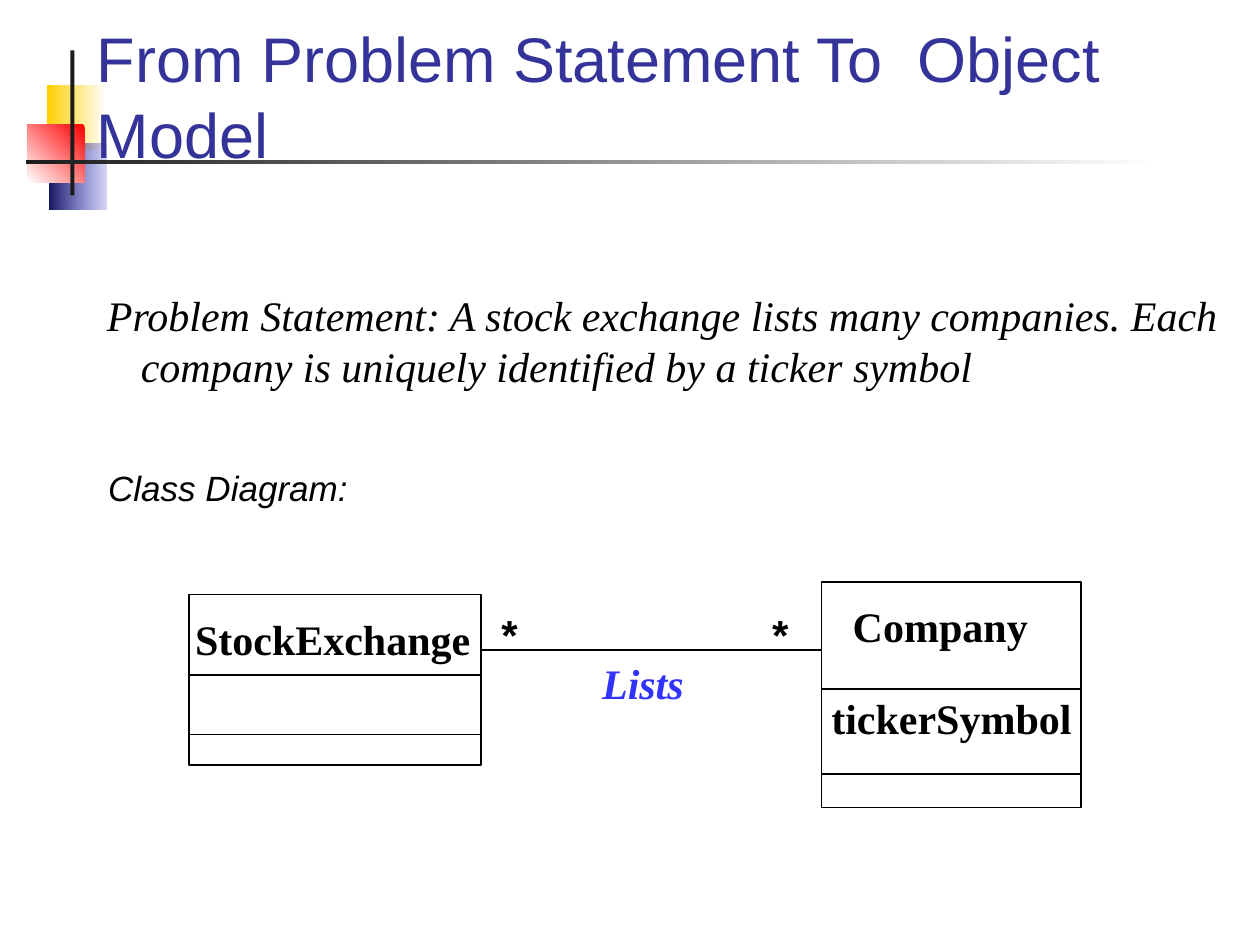
from lxml.etree import SubElement
from pptx import Presentation
from pptx.dml.color import RGBColor
from pptx.enum.shapes import MSO_CONNECTOR, MSO_SHAPE
from pptx.enum.text import MSO_ANCHOR, MSO_AUTO_SIZE, PP_ALIGN
from pptx.oxml.ns import qn
from pptx.util import Pt

SERIF, SANS = "Times New Roman", "Arial"
BLACK, WHITE, INK = "000000", "FFFFFF", "1C1C1C"
TITLE = "From Problem Statement To  Object Model"
STATEMENT = ("Problem Statement: A stock exchange lists many companies. Each "
             "company is uniquely identified by a ticker symbol")
HANGING = 19.4

ORNAMENTS = [
    {"frame": (26.9, 48.6, 33.8, 37.4), "colors": (WHITE, "FFCF01"), "angle": 180},
    {"frame": (28.4, 82.1, 32.4, 37.4), "colors": ("3333CC", "17175E"), "angle": 180, "opacity": 20},
    {"frame": (15.8, 71.3, 32.4, 33.1), "colors": ("FF0000", WHITE), "angle": 225},
    {"frame": (40.3, 28.8, 2.2, 82.8), "colors": (INK, INK), "angle": 180},
    {"frame": (15.1, 91.4, 648, 2.2), "colors": (WHITE, INK), "angle": 180},
]
LABELS = [
    {"at": (54, 162), "width": 660, "text": STATEMENT, "italic": True, "lines": 2, "hanging": HANGING},
    {"at": (54.7, 262.8), "width": 151, "text": "Class Diagram:", "size": 20, "font": SANS, "italic": True},
    {"at": (104.4, 347), "width": 171.4, "text": "StockExchange", "bold": True},
    {"at": (480.2, 339.8), "width": 114.5, "text": "Company", "bold": True},
    {"at": (468, 392.4), "width": 152, "text": "tickerSymbol", "bold": True},
    {"at": (337, 372.2), "width": 67, "text": "Lists", "bold": True, "italic": True, "ink": "3333FF"},
    {"at": (434.2, 344.2), "width": 23.8, "text": "*", "font": SANS, "bold": True},
    {"at": (279.4, 344.2), "width": 23.8, "text": "*", "font": SANS, "bold": True},
]
EXCHANGE = {"frame": (108, 339.8, 167, 97.2), "dividers": (385.9, 419.8)}
COMPANY = {"frame": (469.4, 332.6, 148.3, 128.9), "dividers": (393.8, 442.1)}
ASSOCIATION_Y = 371.5


def color(value):
    return RGBColor.from_string(value)


def style(paragraph, size, font, bold, italic, ink):
    paragraph.alignment = PP_ALIGN.LEFT
    paragraph.line_spacing = 1.0
    for run in paragraph.runs:
        run.font.size, run.font.name = Pt(size), font
        run.font.bold, run.font.italic = bold, italic
        run.font.color.rgb = color(ink)


def add_rectangle(slide, frame):
    rectangle = slide.shapes.add_shape(MSO_SHAPE.RECTANGLE, *map(Pt, frame))
    rectangle.shadow.inherit = False
    rectangle.line.fill.background()
    return rectangle


def add_ornament(slide, frame, colors, angle, opacity=100):
    ornament = add_rectangle(slide, frame)
    start, end = colors
    if start == end:
        ornament.fill.solid()
        ornament.fill.fore_color.rgb = color(start)
        return
    ornament.fill.gradient()
    ornament.fill.gradient_angle = angle
    for stop, shade, position in zip(ornament.fill.gradient_stops, colors, (0, 1)):
        stop.color.rgb = color(shade)
        stop.position = position
    if opacity < 100:
        start_color = next(ornament._element.iter(qn("a:srgbClr")))
        SubElement(start_color, qn("a:alpha"), val=str(opacity * 1000))


def add_title(slide):
    title = slide.shapes.title
    title.left, title.top, title.width, title.height = map(Pt, (48.2, 20.2, 623.5, 68.4))
    frame = title.text_frame
    frame.text = TITLE
    frame.word_wrap, frame.auto_size = True, MSO_AUTO_SIZE.NONE
    frame.vertical_anchor = MSO_ANCHOR.MIDDLE
    style(frame.paragraphs[0], 36, SANS, False, False, "333399")
    slide.shapes._spTree.append(title._element)


def add_label(slide, at, width, text, size=24, font=SERIF, bold=False,
              italic=False, ink=BLACK, lines=1, hanging=0):
    height = 7.2 + 1.2 * size * lines
    frame = slide.shapes.add_textbox(*map(Pt, (*at, width, height))).text_frame
    frame.text = text
    frame.word_wrap, frame.auto_size = True, MSO_AUTO_SIZE.NONE
    frame.margin_right = 0
    paragraph = frame.paragraphs[0]
    if hanging:
        properties = paragraph._p.get_or_add_pPr()
        properties.set("marL", str(Pt(hanging)))
        properties.set("indent", str(-Pt(hanging)))
    style(paragraph, size, font, bold, italic, ink)


def add_rule(slide, start, end, y):
    rule = slide.shapes.add_connector(MSO_CONNECTOR.STRAIGHT, Pt(start), Pt(y), Pt(end), Pt(y))
    rule.line.color.rgb = color(BLACK)
    rule.line.width = Pt(1)
    SubElement(rule._element.spPr, qn("a:effectLst"))


def add_class(slide, frame, dividers):
    outline = add_rectangle(slide, frame)
    outline.fill.background()
    outline.line.color.rgb = color(BLACK)
    outline.line.width = Pt(1)
    left, _, width, _ = frame
    for y in dividers:
        add_rule(slide, left, left + width, y)
    return left, left + width


def main():
    """Build the stock exchange class diagram slide."""
    deck = Presentation()
    deck.slide_width, deck.slide_height = Pt(720), Pt(540)
    slide = deck.slides.add_slide(deck.slide_layouts[5])
    for ornament in ORNAMENTS:
        add_ornament(slide, **ornament)
    add_title(slide)
    _, exchange_right = add_class(slide, **EXCHANGE)
    company_left, _ = add_class(slide, **COMPANY)
    add_rule(slide, exchange_right, company_left, ASSOCIATION_Y)
    for label in LABELS:
        add_label(slide, **label)
    deck.save("out.pptx")


if __name__ == "__main__":
    main()
